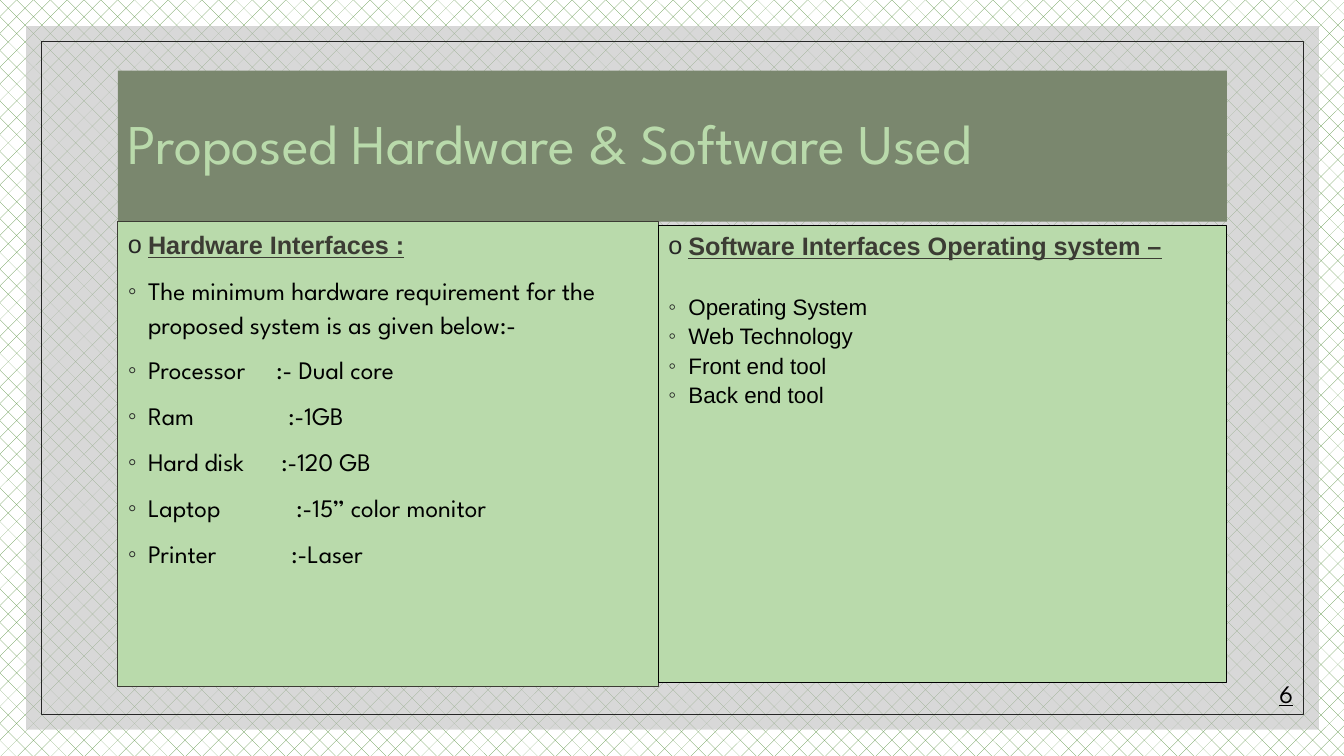
import pptx
import pptx.util
import pptx.oxml
import pptx.oxml.ns
import pptx.dml.color
import pptx.enum.dml
import pptx.enum.shapes
import pptx.enum.text
import lxml.etree

Inches = pptx.util.Inches
Pt = pptx.util.Pt
RGB = pptx.dml.color.RGBColor
qn = pptx.oxml.ns.qn

GREEN = RGB(0xB9, 0xDA, 0xAB)
OLIVE = RGB(0x7A, 0x87, 0x6E)
BRICK = RGB(0x57, 0x90, 0x3F)
WHITE = RGB(0xFF, 0xFF, 0xFF)
GREY = RGB(0xBF, 0xBF, 0xBF)
DARK = RGB(0x26, 0x26, 0x26)
HEAD = RGB(0x3C, 0x3C, 0x34)
BLACK = RGB(0, 0, 0)
SPARTAN = "League Spartan"


def add_box(left, top, width, height, fill=None, line=None, weight=0.75):
    """Add a rectangle with top-left text; no fill or line unless given."""
    box = slide.shapes.add_shape(
        pptx.enum.shapes.MSO_SHAPE.RECTANGLE,
        Inches(left), Inches(top), Inches(width), Inches(height))
    box.shadow.inherit = False
    if fill is None:
        box.fill.background()
    else:
        box.fill.solid()
        box.fill.fore_color.rgb = fill
    if line is None:
        box.line.fill.background()
    else:
        box.line.color.rgb = line
        box.line.width = Pt(weight)
    box.text_frame.word_wrap = True
    box.text_frame.vertical_anchor = pptx.enum.text.MSO_ANCHOR.TOP
    return box


def add_run(para, text, size, face, color, strong=False, under=False):
    para.alignment = pptx.enum.text.PP_ALIGN.LEFT
    run = para.add_run()
    run.text = text
    font = run.font
    font.size, font.name = Pt(size), face
    font.bold, font.underline = strong, under
    font.color.rgb = color


deck = pptx.Presentation()
deck.slide_width, deck.slide_height = Inches(13.33), Inches(7.5)
slide = deck.slides.add_slide(deck.slide_layouts[6])

# Patterned backdrop and frame
back = slide.background.fill
back.patterned()
back.pattern = pptx.enum.dml.MSO_PATTERN.DIAGONAL_BRICK
back.fore_color.rgb = BRICK
back.back_color.rgb = WHITE

panel = add_box(0.26, 0.26, 12.82, 6.98, GREY)
tint = panel.fill._xPr.find(".//" + qn("a:srgbClr"))
lxml.etree.SubElement(tint, qn("a:alpha"), val="60000")
add_box(0.41, 0.41, 12.52, 6.68, line=DARK, weight=0.5)

# Title
title = add_box(1.17, 0.7, 11, 1.5, OLIVE).text_frame
title.vertical_anchor = pptx.enum.text.MSO_ANCHOR.MIDDLE
para = title.paragraphs[0]
para.line_spacing = 0.9
add_run(para, "Proposed Hardware & Software Used", 40, SPARTAN, GREEN)

# Lists: each item is its text and the tab stop of its value, if any
hard = [
    ("The minimum hardware requirement for the proposed system is as given below:-", None),
    ("Processor\t:- Dual core", 1.47),
    ("Ram\t:-1GB", 1.59),
    ("Hard disk\t:-120 GB", 1.52),
    ("Laptop\t:-15’’ color monitor", 1.67),
    ("Printer\t:-Laser", 1.62),
]
soft = [(name, None) for name in
        ("Operating System", "Web Technology", "Front end tool", "Back end tool")]

# Place, line, heading, items, item size, item face, heading spacing,
# space before the first item, space before the others
lists = [
    ((1.17, 2.2, 5.36, 4.61), HEAD, "Hardware Interfaces :", hard,
     18, SPARTAN, 1.1, 9, 9),
    ((6.53, 2.24, 5.64, 4.53), BLACK, "Software Interfaces Operating system –", soft,
     16, "Arial", 1, 21, 0),
]
for place, line, heading, items, size, face, lead, first, gap in lists:
    frame = add_box(*place, GREEN, line).text_frame
    for row, (text, stop) in enumerate([(heading, None)] + items):
        para = frame.add_paragraph() if row else frame.paragraphs[0]
        para.line_spacing = 1.1 if row else lead
        para.space_before = Pt(first if row == 1 else gap)
        if row:
            add_run(para, text, size, face, BLACK)
        else:
            add_run(para, text, 18, "Arial", HEAD, True, True)
        props = para._p.get_or_add_pPr()
        props.set("marL", str(Inches(0.2)))
        props.set("indent", str(-Inches(0.2)))
        tone = lxml.etree.SubElement(props, qn("a:buClr"))
        lxml.etree.SubElement(tone, qn("a:srgbClr"), val=str(DARK))
        lxml.etree.SubElement(props, qn("a:buFont"), typeface="Arial")
        lxml.etree.SubElement(props, qn("a:buChar"), char="◦" if row else "o")
        if stop:
            tabs = lxml.etree.SubElement(props, qn("a:tabLst"))
            lxml.etree.SubElement(tabs, qn("a:tab"), pos=str(Inches(stop)), algn="l")

# Slide number
number = slide.shapes.add_textbox(Inches(12.59), Inches(6.68), Inches(0.43), Inches(0.4))
number.text_frame.word_wrap = True
add_run(number.text_frame.paragraphs[0], "6", 18, SPARTAN, BLACK, under=True)

deck.save("out.pptx")
